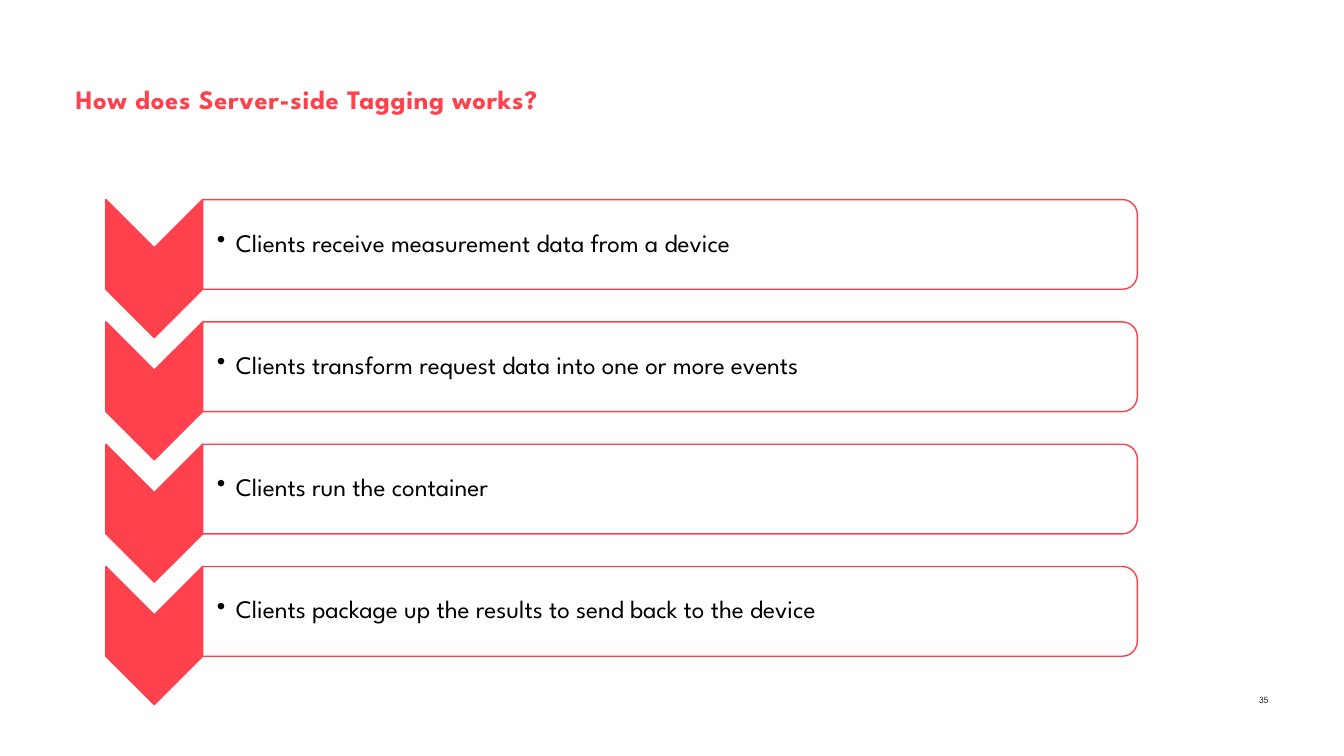
from pptx import Presentation
from pptx import util as u
from pptx.dml.color import RGBColor
from pptx.enum import shapes, text
from pptx.oxml import parse_xml
from pptx.oxml.ns import nsdecls

RED, WHITE, BLACK = "FE414D", "FFFFFF", "000000"
STEPS = [
    "Clients receive measurement data from a device",
    "Clients transform request data into one or more events",
    "Clients run the container",
    "Clients package up the results to send back to the device",
]


def colour(hex_string):
    """Return the colour for a hex string."""
    return RGBColor.from_string(hex_string)


def fill_text(shape, wording, face, size, ink, margins=(0, 0, 0, 0)):
    """Put one paragraph into a shape and return it."""
    frame = shape.text_frame
    frame.word_wrap = True
    frame.auto_size = text.MSO_AUTO_SIZE.NONE
    (frame.margin_left, frame.margin_top,
     frame.margin_right, frame.margin_bottom) = map(u.Inches, margins)
    frame.text = wording
    line = frame.paragraphs[0]
    line.font.name, line.font.size = face, u.Pt(size)
    line.font.color.rgb = colour(ink)
    return line


def add_heading(slide, left, top, width, height):
    """Place the slide title in its box."""
    heading = slide.shapes.title
    heading.left, heading.top = u.Inches(left), u.Inches(top)
    heading.width, heading.height = u.Inches(width), u.Inches(height)
    line = fill_text(heading, "How does Server-side Tagging works?",
                     "League Spartan", 19, RED)
    heading.text_frame.vertical_anchor = text.MSO_ANCHOR.TOP
    line.alignment = text.PP_ALIGN.LEFT
    line.line_spacing = 1.3
    line.font.bold = True
    line.runs[0].font._element.set("spc", "50")


def add_turned(slide, kind, left, top, width, height, fill):
    """Add a shape turned a quarter clockwise that covers the given box."""
    shape = slide.shapes.add_shape(
        kind, u.Inches(left + (width - height) / 2),
        u.Inches(top + (height - width) / 2), u.Inches(height), u.Inches(width))
    shape.rotation = 90
    shape.shadow.inherit = False
    shape.fill.solid()
    shape.fill.fore_color.rgb = colour(fill)
    shape.line.color.rgb = colour(RED)
    shape.line.width = u.Pt(1)


def add_step(slide, wording, left, top, width):
    """Draw one step: a down chevron and a bar with a bulleted line."""
    arrow_width, bar_height = 0.96, 0.89
    bar_left, bar_width = left + arrow_width, width - arrow_width
    add_turned(slide, shapes.MSO_SHAPE.CHEVRON,
               left, top, arrow_width, 1.37, RED)
    add_turned(slide, shapes.MSO_SHAPE.ROUND_2_SAME_RECTANGLE,
               bar_left, top, bar_width, bar_height, WHITE)
    label = slide.shapes.add_textbox(
        u.Inches(bar_left), u.Inches(top + 0.04),
        u.Inches(bar_width - 0.05), u.Inches(0.8))
    line = fill_text(label, wording, "League Spartan", 18, BLACK,
                     (0.14, 0.01, 0.01, 0.01))
    label.text_frame.vertical_anchor = text.MSO_ANCHOR.MIDDLE
    line.line_spacing = 0.9
    line.level = 1
    properties = line._p.get_or_add_pPr()
    properties.set("marL", str(u.Inches(0.19)))
    properties.set("indent", str(-u.Inches(0.19)))
    bullet = parse_xml(f'<a:buChar {nsdecls("a")} char="•"/>')
    properties.insert_element_before(
        bullet, "a:tabLst", "a:defRPr", "a:extLst")


def add_steps(slide, left, top, width, height):
    """Stack the steps at an equal pitch within the box."""
    pitch = (height - 1.37) / (len(STEPS) - 1)
    for index, wording in enumerate(STEPS):
        add_step(slide, wording, left, top + index * pitch, width)


def add_page_number(slide, left, top, width, height):
    """Place the page number, set to the right of its box."""
    number = slide.shapes.add_textbox(*map(u.Inches, (left, top, width, height)))
    line = fill_text(number, "35", "TeX Gyre Adventor", 6, BLACK)
    line.alignment = text.PP_ALIGN.RIGHT


def main():
    """Build the slide and save it."""
    deck = Presentation()
    deck.slide_width, deck.slide_height = u.Inches(13.33), u.Inches(7.5)
    slide = deck.slides.add_slide(deck.slide_layouts.get_by_name("Title Only"))
    add_page_number(slide, 12.28, 6.9, 0.3, 0.1)
    add_heading(slide, 0.75, 0.73, 11.83, 0.38)
    add_steps(slide, 1.05, 1.98, 10.23, 5.01)
    deck.save("out.pptx")


if __name__ == "__main__":
    main()
